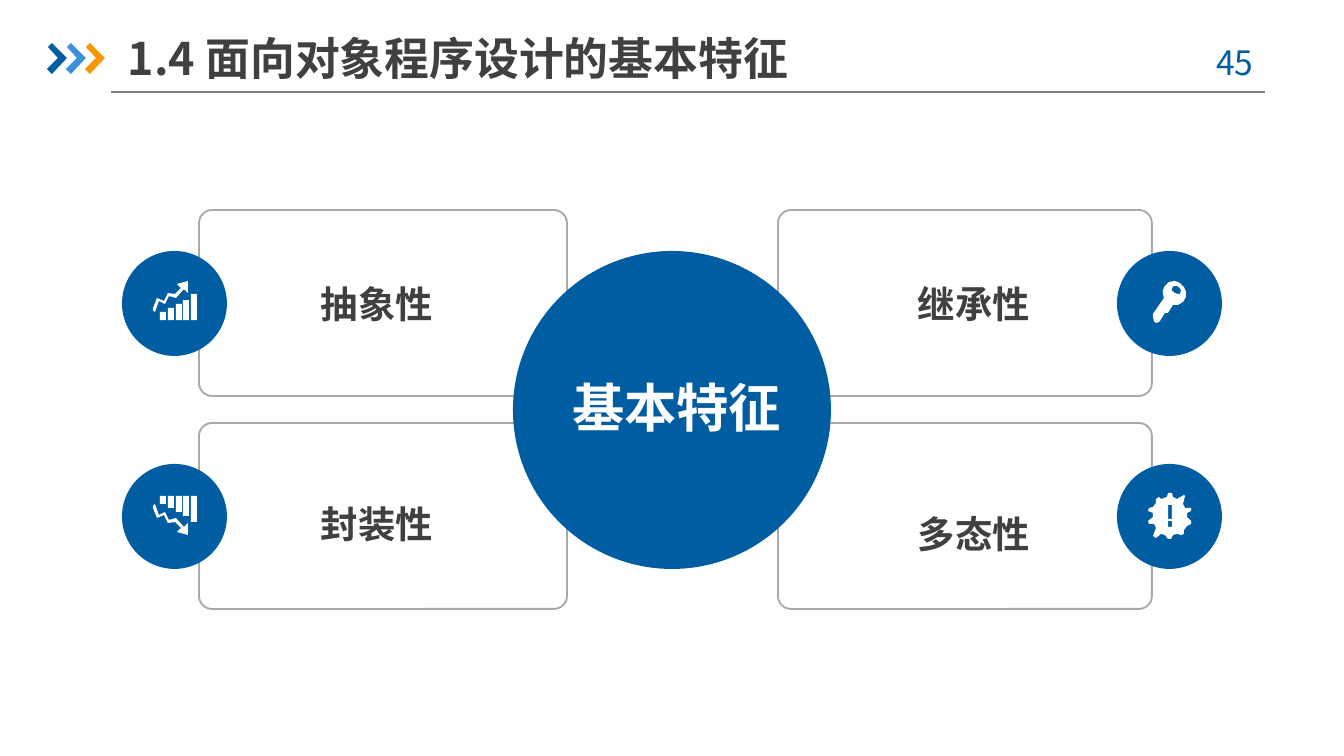
from lxml.etree import SubElement
from pptx import Presentation
from pptx.dml.color import RGBColor
from pptx.enum.shapes import MSO_CONNECTOR as Connector, MSO_SHAPE as Shape
from pptx.enum.text import MSO_ANCHOR as Anchor, MSO_AUTO_SIZE as AutoSize, PP_ALIGN as Align
from pptx.oxml.ns import qn
from pptx.util import Pt

PX = 914400 / 134.4  # EMU per px
FONT = "Noto Sans CJK SC"
COLORS = {
    "blue": "005DA2", "sky": "3992DB", "orange": "F79600", "white": "FFFFFF",
    "ink": "404040", "rule": "808080", "border": "A6AAA9",
}

CHEVRON = [(48, 47), (52, 43), (67, 58), (52, 74), (47, 69), (58, 58)]
CHEVRON_PITCH = 19

CARD_HEIGHT, DISC_SIZE = 186, 105
ROW_TOPS = (210, 423)
DISC_DROP = 41  # from the top of a card to the top of its disc

# Icon outlines, measured from the top left corner of their disc
TREND = [(47, 45), (54, 47), (62, 38), (66, 42), (66, 30), (55, 33), (59, 37), (53, 43),
         (46, 42), (42, 50), (35, 47), (31, 57), (31, 59), (33, 61), (37, 50), (43, 53)]
BAR_TOPS = (61, 57, 53, 49, 43)
KEY = [
    [(69, 41), (67, 36), (63, 32), (58, 30), (52, 31), (48, 35), (46, 39), (46, 43),
     (47, 47), (36, 63), (36, 66), (37, 70), (39, 72), (42, 71), (43, 70), (48, 62),
     (51, 62), (56, 54), (61, 54), (66, 51), (69, 46)],
    [(63, 43), (61, 43), (58, 42), (55, 40), (55, 37), (57, 35), (60, 35), (63, 37), (64, 40)],
]
BURST = [(74, 57), (70, 53), (70, 49), (74, 47), (74, 44), (68, 44), (66, 40), (68, 32),
         (67, 31), (60, 35), (56, 33), (55, 29), (51, 29), (50, 33), (44, 35), (42, 33),
         (39, 35), (39, 39), (36, 43), (32, 44), (31, 47), (36, 49), (36, 53), (31, 57),
         (32, 60), (37, 60), (39, 64), (36, 72), (39, 74), (44, 70), (48, 71), (51, 75),
         (54, 75), (56, 71), (60, 70), (64, 71), (67, 70), (67, 66), (70, 62), (74, 60)]


def px(*lengths):
    return [round(length * PX) for length in lengths]


def color(name):
    return RGBColor.from_string(COLORS[name])


def box_outline(left, top, right, bottom):
    return [(left, top), (right, top), (right, bottom), (left, bottom)]


def rising_chart():
    lefts = [round(38 + 7.75 * i) for i in range(len(BAR_TOPS))]
    return [TREND] + [box_outline(left, top, left + 6, 69) for left, top in zip(lefts, BAR_TOPS)]


def falling_chart():
    return [[(x, 101 - y) for x, y in outline] for outline in rising_chart()]


def alert_burst():
    return [BURST, box_outline(51, 41, 55, 55), box_outline(51, 57, 55, 63)]


def add_outline(slide, outlines, fill, dx=0, dy=0):
    """Draw closed outlines as one filled freeform, shifted by dx and dy."""
    moved = [[(x + dx, y + dy) for x, y in outline] for outline in outlines]
    builder = slide.shapes.build_freeform(*moved[0][0], scale=PX)
    for i, outline in enumerate(moved):
        if i:
            builder.move_to(*outline[0])
        builder.add_line_segments(outline[1:], close=True)
    paint(builder.convert_to_shape(), fill)


def paint(shape, fill):
    shape.shadow.inherit = False
    shape.fill.solid()
    shape.fill.fore_color.rgb = color(fill)
    shape.line.fill.background()


def add_disc(slide, left, top, size):
    paint(slide.shapes.add_shape(Shape.OVAL, *px(left, top, size, size)), "blue")


def add_card(slide, left, top, width):
    card = slide.shapes.add_shape(Shape.ROUNDED_RECTANGLE, *px(left, top, width, CARD_HEIGHT))
    card.adjustments[0] = 0.07
    card.shadow.inherit = False
    card.fill.background()
    card.line.color.rgb = color("border")
    card.line.width = Pt(1)


def write(holder, text, size, ink, bold=True, align=Align.LEFT, anchor=Anchor.MIDDLE, pad=0):
    """Fill a text holder with one formatted paragraph and return that paragraph."""
    frame = holder.text_frame
    frame.text = text
    frame.word_wrap = True
    frame.auto_size = AutoSize.NONE
    frame.vertical_anchor = anchor
    frame.margin_left = frame.margin_right = 0
    frame.margin_top = frame.margin_bottom = px(pad)[0]
    paragraph = frame.paragraphs[0]
    paragraph.alignment = align
    font = paragraph.runs[0].font
    font.size, font.bold, font.name = Pt(size), bold, FONT
    font.color.rgb = color(ink)
    SubElement(paragraph.runs[0]._r.get_or_add_rPr(), qn("a:ea"), typeface=FONT)
    return paragraph


def add_label(slide, text, left, top):
    label = slide.shapes.add_textbox(*px(left, top, 113, 44))
    write(label, text, 20, "ink").line_spacing = 1.2


def add_header(slide):
    rule = slide.shapes.add_connector(Connector.STRAIGHT, *px(111, 92, 1265, 92))
    rule.line.color.rgb = color("rule")
    rule.line.width = Pt(0.75)
    SubElement(rule._element.spPr, qn("a:effectLst"))

    for i, fill in enumerate(("blue", "sky", "orange")):
        add_outline(slide, [CHEVRON], fill, dx=i * CHEVRON_PITCH)

    title = slide.shapes.title
    title.left, title.top, title.width, title.height = px(128, 30, 681, 56)
    write(title, "1.4 面向对象程序设计的基本特征", 24, "ink", pad=7)

    page = slide.shapes.add_textbox(*px(1186, 35, 98, 54))
    write(page, "45", 18, "blue", bold=False, align=Align.CENTER, anchor=Anchor.TOP, pad=7)


def add_hub(slide):
    add_disc(slide, 513, 251, 318)
    name = slide.shapes.add_textbox(*px(567, 372, 219, 70))
    write(name, "基本特征", 28, "white", align=Align.CENTER).space_before = Pt(10)


def main():
    prs = Presentation()
    prs.slide_width, prs.slide_height = px(1344, 756)
    slide = prs.slides.add_slide(prs.slide_layouts[5])
    add_header(slide)

    # Cards lie behind the central hub
    for top in ROW_TOPS:
        add_card(slide, 199, top, 368)
        add_card(slide, 778, top, 374)
    add_hub(slide)

    # Features: row, label position, disc left, icon
    features = [
        ("抽象性", 0, 321, 277, 122, rising_chart()),
        ("封装性", 1, 321, 497, 122, falling_chart()),
        ("继承性", 0, 918, 277, 1117, KEY),
        ("多态性", 1, 918, 507, 1117, alert_burst()),
    ]
    for feature, row, label_left, label_top, disc_left, icon in features:
        disc_top = ROW_TOPS[row] + DISC_DROP
        add_label(slide, feature, label_left, label_top)
        add_disc(slide, disc_left, disc_top, DISC_SIZE)
        add_outline(slide, icon, "white", disc_left, disc_top)

    prs.save("out.pptx")


if __name__ == "__main__":
    main()
